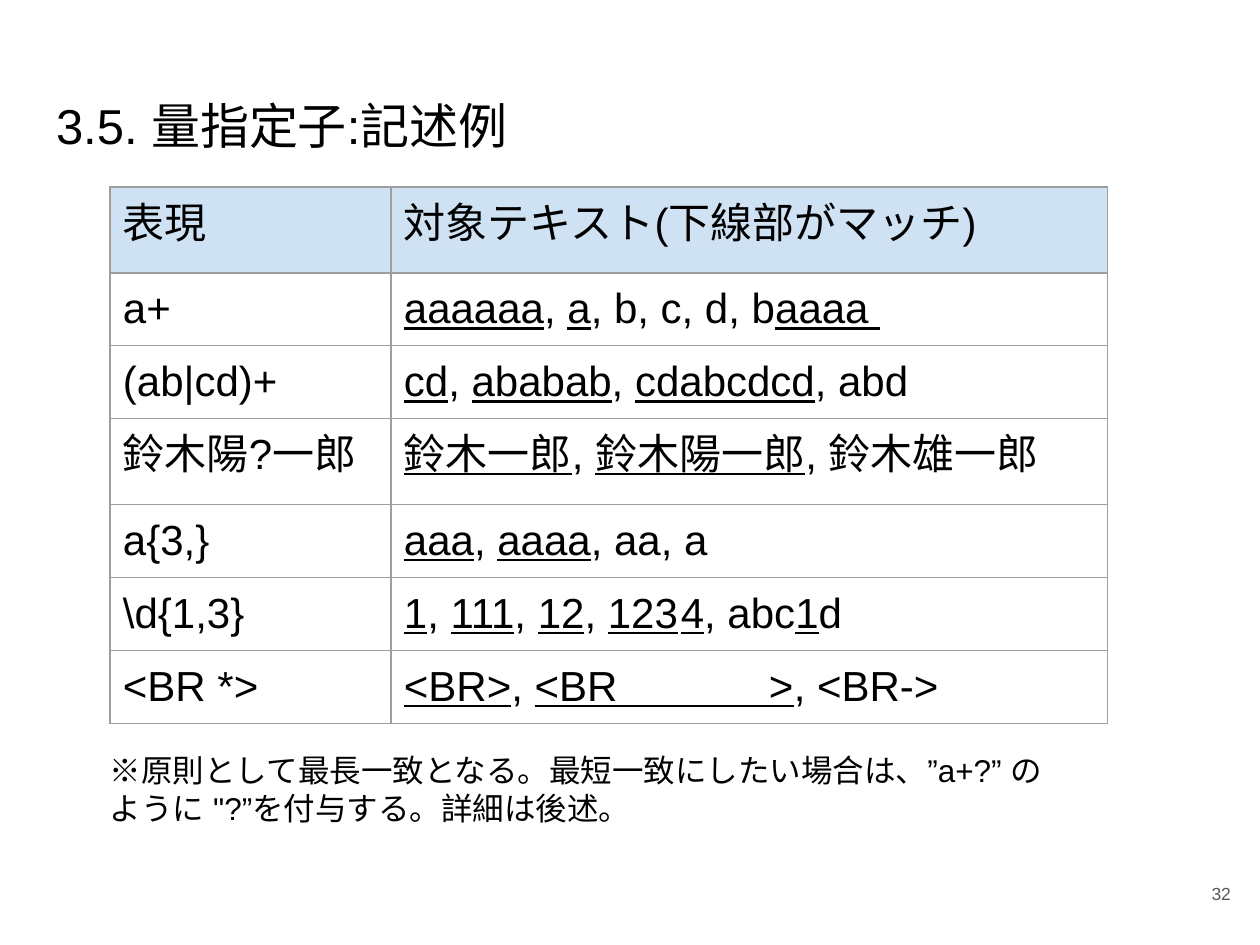
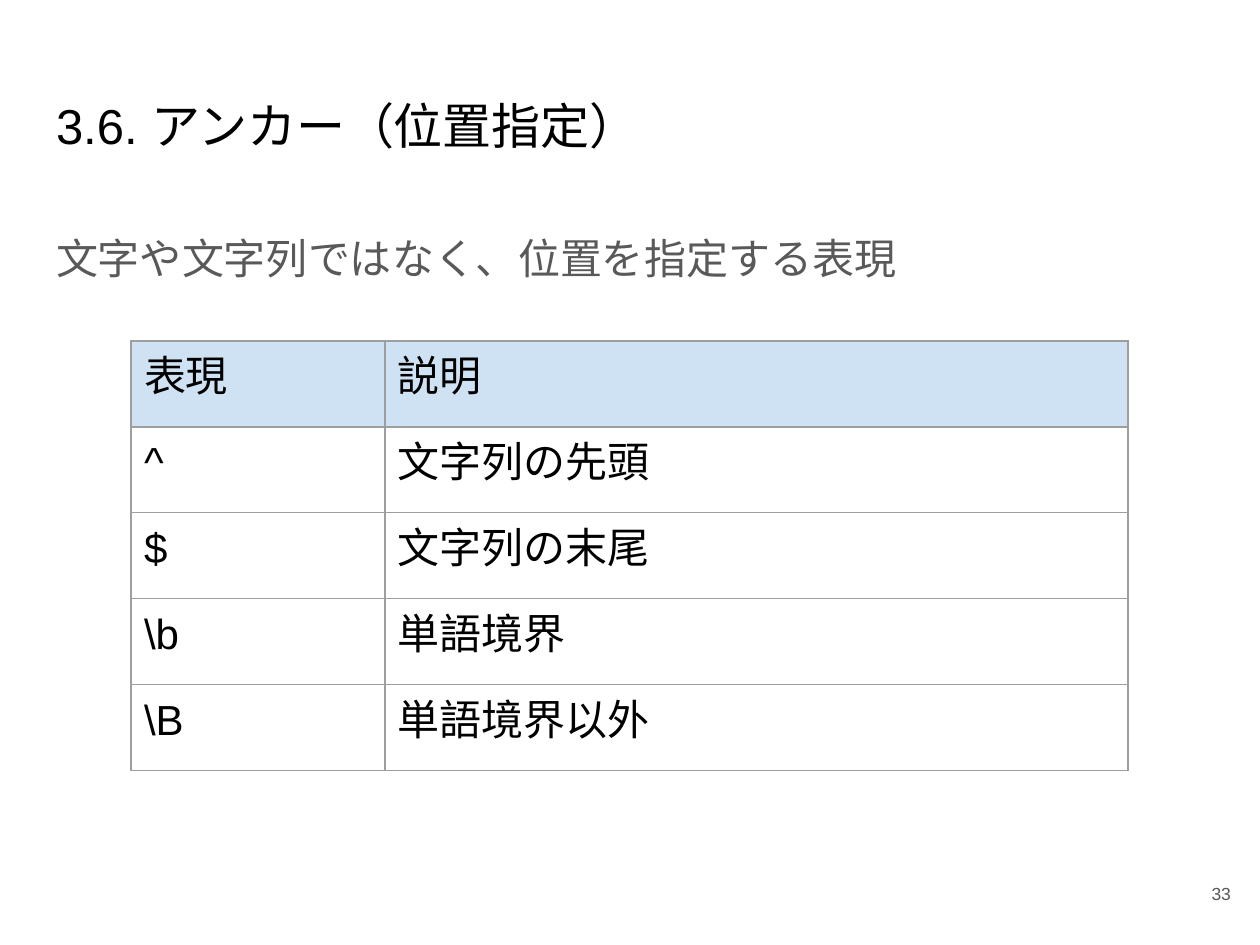
import pptx
import pptx.util
import pptx.dml.color
import pptx.enum.text
import pptx.oxml
import pptx.oxml.ns
from lxml import etree

RGBColor = pptx.dml.color.RGBColor
ALIGN = pptx.enum.text.PP_ALIGN
ANCHOR = pptx.enum.text.MSO_ANCHOR
qn = pptx.oxml.ns.qn

BLACK = RGBColor(0x00, 0x00, 0x00)
GRAY = RGBColor(0x59, 0x59, 0x59)
HEADER_BLUE = RGBColor(0xCF, 0xE2, 0xF3)
BORDER_GRAY = RGBColor(0x9E, 0x9E, 0x9E)

FONT = "Arial"
PX_PER_INCH = 126
INSET = 13
TABLE_SIZE = 24
GAP_SIZE = 6
LATIN_ROW = 72
CJK_ROW = 86

QUANTIFIER_ROWS = [
    ("表現", "対象テキスト(下線部がマッチ)"),
    ("a+", "_aaaaaa_, _a_, b, c, d, b_aaaa _"),
    ("(ab|cd)+", "_cd_, _ababab_, _cdabcdcd_, abd"),
    ("鈴木陽?一郎", "_鈴木一郎_, _鈴木陽一郎_, 鈴木雄一郎"),
    ("a{3,}", "_aaa_, _aaaa_, aa, a"),
    ("\\d{1,3}", "_1_, _111_, _12_, _123_ _4_, abc_1_d"),
    ("<BR *>", "_<BR>_, _<BR             >_, <BR->"),
]
ANCHOR_ROWS = [
    ("表現", "説明"),
    ("^", "文字列の先頭"),
    ("$", "文字列の末尾"),
    ("\\b", "単語境界"),
    ("\\B", "単語境界以外"),
]


def px(length):
    return pptx.util.Inches(length / PX_PER_INCH)


def write_text(frame, text, size, color=BLACK, align=ALIGN.LEFT, line_spacing=1.0):
    paragraph = frame.paragraphs[0]
    paragraph.alignment = align
    paragraph.line_spacing = line_spacing
    paragraph.space_before = pptx.util.Pt(0)
    for index, piece in enumerate(text.split("_")):
        if not piece:
            continue
        run = paragraph.add_run()
        run.text = piece
        run.font.size = pptx.util.Pt(GAP_SIZE if piece == " " else size)
        run.font.name = FONT
        run.font.color.rgb = color
        run.font.underline = index % 2 == 1
        east_asian = etree.SubElement(run.font._element, qn("a:ea"))
        east_asian.set("typeface", FONT)


def set_insets(target):
    target.margin_left = target.margin_right = px(INSET)
    target.margin_top = target.margin_bottom = px(INSET)


def set_frame(frame, anchor=ANCHOR.TOP):
    set_insets(frame)
    frame.word_wrap = True
    frame.auto_size = pptx.enum.text.MSO_AUTO_SIZE.NONE
    frame.vertical_anchor = anchor


def fill_placeholder(placeholder, box, text, size, **text_format):
    placeholder.left, placeholder.top, placeholder.width, placeholder.height = map(px, box)
    set_frame(placeholder.text_frame)
    properties = placeholder.text_frame.paragraphs[0]._p.get_or_add_pPr()
    properties.set("marL", "0")
    properties.set("indent", "0")
    etree.SubElement(properties, qn("a:buNone"))
    write_text(placeholder.text_frame, text, size, **text_format)


def add_text(slide, box, text, size, anchor=ANCHOR.TOP, **text_format):
    frame = slide.shapes.add_textbox(*map(px, box)).text_frame
    set_frame(frame, anchor)
    write_text(frame, text, size, **text_format)


def add_borders(cell):
    properties = cell._tc.get_or_add_tcPr()
    for index, side in enumerate(("lnL", "lnR", "lnT", "lnB")):
        line = etree.Element(qn(f"a:{side}"), w=str(pptx.util.Pt(0.75)))
        fill = etree.SubElement(line, qn("a:solidFill"))
        etree.SubElement(fill, qn("a:srgbClr"), val=str(BORDER_GRAY))
        properties.insert(index, line)


def add_expression_table(slide, left, top, widths, rows):
    heights = [LATIN_ROW if "".join(row).isascii() else CJK_ROW for row in rows]
    table = slide.shapes.add_table(
        len(rows), len(widths), px(left), px(top), px(sum(widths)), px(sum(heights))
    ).table
    table.first_row = table.horz_banding = False
    for column, width in zip(table.columns, widths):
        column.width = px(width)
    for row_index, texts in enumerate(rows):
        table.rows[row_index].height = px(heights[row_index])
        for column_index, text in enumerate(texts):
            cell = table.cell(row_index, column_index)
            set_insets(cell)
            write_text(cell.text_frame, text, TABLE_SIZE)
            if row_index == 0:
                cell.fill.solid()
                cell.fill.fore_color.rgb = HEADER_BLUE
            else:
                cell.fill.background()
            add_borders(cell)


def add_page(presentation, layout_index, title, number):
    slide = presentation.slides.add_slide(presentation.slide_layouts[layout_index])
    fill_placeholder(slide.shapes.title, (43, 82, 1174, 105), title, 28)
    add_text(slide, (1168, 857, 76, 72), str(number), 10,
             anchor=ANCHOR.MIDDLE, color=GRAY, align=ALIGN.RIGHT)
    return slide


def main():
    presentation = pptx.Presentation()
    presentation.slide_width = px(1260)
    presentation.slide_height = px(945)

    quantifiers = add_page(presentation, 5, "3.5. 量指定子:記述例", 32)
    add_expression_table(quantifiers, 110, 187, (281, 717), QUANTIFIER_ROWS)
    add_text(quantifiers, (97, 738, 978, 97),
             "※原則として最長一致となる。最短一致にしたい場合は、”a+?” "
             "のように \"?”を付与する。詳細は後述。", 18)

    anchors = add_page(presentation, 1, "3.6. アンカー（位置指定）", 33)
    fill_placeholder(anchors.placeholders[1], (43, 212, 1174, 627),
                     "文字や文字列ではなく、位置を指定する表現", 24,
                     color=GRAY, line_spacing=1.15)
    add_expression_table(anchors, 131, 341, (254, 743), ANCHOR_ROWS)

    presentation.save("out.pptx")


if __name__ == "__main__":
    main()
